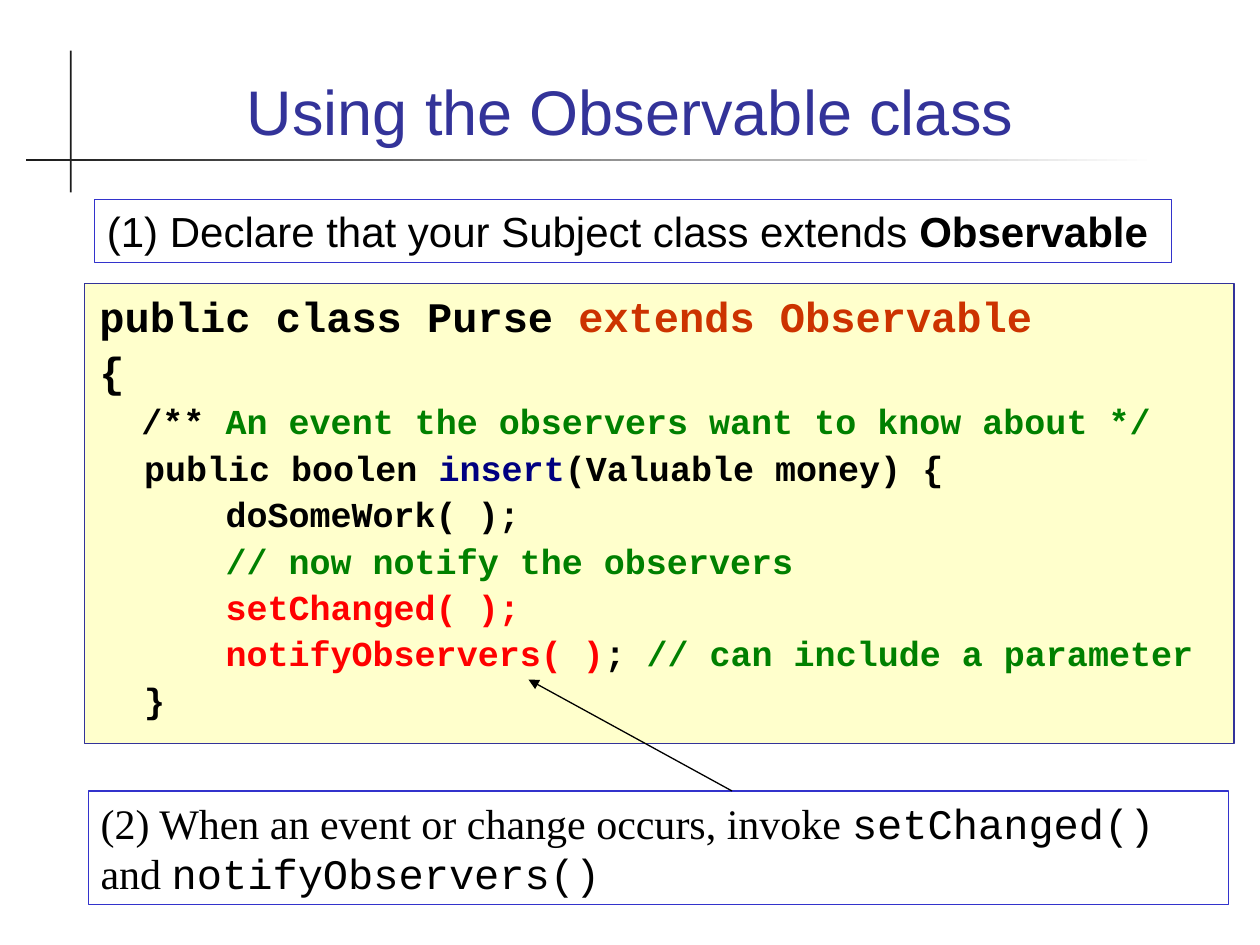
import pptx
import pptx.dml.color
import pptx.enum.shapes
import pptx.enum.text
import pptx.oxml
import pptx.oxml.ns
import pptx.util

Pt = pptx.util.Pt
RGB = pptx.dml.color.RGBColor
Kind = pptx.enum.shapes.MSO_SHAPE
Wire = pptx.enum.shapes.MSO_CONNECTOR
Align = pptx.enum.text.PP_ALIGN
Anchor = pptx.enum.text.MSO_ANCHOR

BLACK = RGB(0x00, 0x00, 0x00)
WHITE = RGB(0xFF, 0xFF, 0xFF)
INK = RGB(0x1C, 0x1C, 0x1C)
INDIGO = RGB(0x33, 0x33, 0x99)
BLUE = RGB(0x33, 0x33, 0xCC)
NAVY = RGB(0x00, 0x00, 0x80)
CREAM = RGB(0xFF, 0xFF, 0xCC)
RUST = RGB(0xCC, 0x33, 0x00)
GREEN = RGB(0x00, 0x80, 0x00)
RED = RGB(0xFF, 0x00, 0x00)

SANS, SERIF, MONO = "Arial", "Times New Roman", "Courier New"

# Each line of code: size, then (text, colour) parts.
CODE = [
    (24, [("public class Purse ", BLACK), ("extends Observable", RUST)]),
    (24, [("{", BLACK)]),
    (20, [("  /**", BLACK),
          (" An event the observers want to know about */", GREEN)]),
    (20, [("\tpublic boolen ", BLACK), ("insert", NAVY),
          ("(Valuable money) {", BLACK)]),
    (20, [("      doSomeWork( );", BLACK)]),
    (20, [("      // now notify the observers", GREEN)]),
    (20, [("      setChanged( );", RED)]),
    (20, [("      notifyObservers( )", RED), ("; ", BLACK),
          ("// can include a parameter", GREEN)]),
    (20, [("\t}", BLACK)]),
]


class Deck:
    def __init__(self, wide, high):
        self.prs = pptx.Presentation()
        self.prs.slide_width, self.prs.slide_height = Pt(wide), Pt(high)
        self.slide = self.prs.slides.add_slide(self.prs.slide_layouts[5])

    def title(self, text, x, y, w, h):
        shape = self.slide.shapes.title
        shape.left, shape.top, shape.width, shape.height = map(Pt, (x, y, w, h))
        shape.text_frame.text = text
        shape.text_frame.vertical_anchor = Anchor.BOTTOM
        para = shape.text_frame.paragraphs[0]
        para.alignment = Align.CENTER
        self.font(para, SANS, 36, INDIGO)

    def font(self, para, name, size, color=None, bold=None):
        para.font.name, para.font.size, para.font.bold = name, Pt(size), bold
        if color is not None:
            para.font.color.rgb = color

    def box(self, x, y, w, h, fill=None, line=None):
        shape = self.slide.shapes.add_shape(
            Kind.RECTANGLE, Pt(x), Pt(y), Pt(w), Pt(h))
        shape.shadow.inherit = False
        if fill is None:
            shape.fill.background()
        else:
            shape.fill.solid()
            shape.fill.fore_color.rgb = fill
        if line is None:
            shape.line.fill.background()
        else:
            shape.line.color.rgb = line
            shape.line.width = Pt(0.75)
        frame = shape.text_frame
        frame.word_wrap = True
        frame.vertical_anchor = Anchor.TOP
        return shape

    def fade(self, x, y, w, h, start, end):
        """Bar that blends from start at its right end to end at its left."""
        fill = self.box(x, y, w, h).fill
        fill.gradient()
        fill.gradient_angle = 180
        for stop, color in zip(fill.gradient_stops, (start, end)):
            stop.color.rgb = color

    def note(self, x, y, w, h, parts, fill=None):
        """Framed remark; parts are (text, font, bold)."""
        frame = self.box(x, y, w, h, fill, BLUE).text_frame
        frame.vertical_anchor = Anchor.MIDDLE
        para = frame.paragraphs[0]
        para.alignment = Align.LEFT
        self.font(para, parts[0][1], 24, BLACK)
        for text, name, bold in parts:
            run = para.add_run()
            run.text = text
            run.font.name, run.font.bold = name, bold
            run.font.color.rgb = BLACK

    def code(self, x, y, w, h, lines):
        frame = self.box(x, y, w, h, CREAM, INDIGO).text_frame
        frame.margin_top = Pt(4)
        for i, (size, parts) in enumerate(lines):
            para = frame.add_paragraph() if i else frame.paragraphs[0]
            para.alignment = Align.LEFT
            para.space_before = Pt(2.5 if i else 0)
            props = para._p.get_or_add_pPr()
            props.set("marL", str(Pt(27)))
            props.set("indent", str(Pt(-25.5)))
            self.font(para, MONO, size, bold=True)
            for text, color in parts:
                run = para.add_run()
                run.text = text
                run.font.color.rgb = color

    def arrow(self, x1, y1, x2, y2):
        wire = self.slide.shapes.add_connector(
            Wire.STRAIGHT, Pt(x1), Pt(y1), Pt(x2), Pt(y2))
        wire.line.color.rgb = BLACK
        wire.line.width = Pt(0.75)
        space = pptx.oxml.ns.nsdecls("a")
        wire.line._get_or_add_ln().append(
            pptx.oxml.parse_xml(f'<a:tailEnd {space} type="triangle"/>'))
        wire._element.spPr.append(
            pptx.oxml.parse_xml(f"<a:effectLst {space}/>"))


def main():
    deck = Deck(720, 540)
    deck.box(40, 29, 1, 81, INK)
    deck.fade(15, 91, 646, 1, WHITE, INK)
    deck.title("Using the Observable class", 48, 20, 624, 68.5)
    deck.code(48.25, 162, 657, 263, CODE)
    deck.note(54, 114, 615.5, 36, [
        ("(1) Declare that your Subject class extends ", SANS, False),
        ("Observable", SANS, True)])
    deck.note(50.4, 452, 651.6, 65, [
        ("(2) When an event or change occurs, invoke ", SERIF, False),
        ("setChanged()", MONO, False),
        (" and ", SERIF, False),
        ("notifyObservers()", MONO, False)], WHITE)
    deck.arrow(418.3, 452, 302, 388.3)
    deck.prs.save("out.pptx")


if __name__ == "__main__":
    main()
